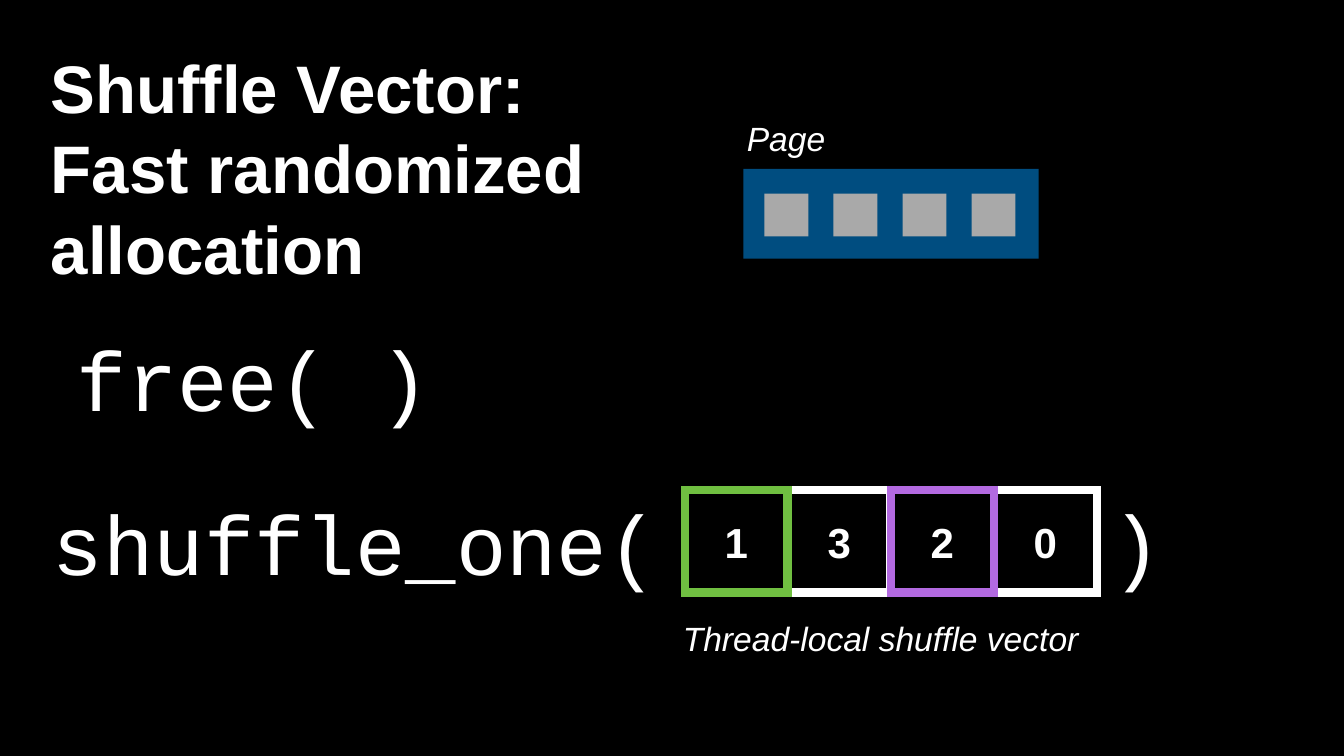
from dataclasses import dataclass
from typing import Optional

from lxml.etree import SubElement
from pptx import Presentation
from pptx.dml.color import RGBColor
from pptx.enum.shapes import MSO_SHAPE
from pptx.enum.text import MSO_ANCHOR, PP_ALIGN
from pptx.oxml.ns import qn
from pptx.slide import Slide
from pptx.util import Inches, Pt


@dataclass(frozen=True)
class Theme:
    background: str = "000000"
    text: str = "FFFFFF"
    page: str = "004D80"
    slot: str = "A9A9A9"
    cell: str = "FFFFFF"
    freed: str = "70BF41"
    swapped: str = "B36AE1"
    sans: str = "Arial"
    mono: str = "Courier New"
    code_size: int = 120
    title_size: int = 96
    digit_size: int = 60
    caption_size: int = 48
    border: int = 12


@dataclass(frozen=True)
class Box:
    left: float
    top: float
    width: float
    height: float


@dataclass(frozen=True)
class Label:
    text: str
    box: Box
    size: int
    font: str
    bold: bool = False
    italic: bool = False
    wrap: bool = False
    align: PP_ALIGN = PP_ALIGN.LEFT


THEME = Theme()

# Page slots and vector cells, spread at equal steps
SLOT_COUNT = 4
SLOT_STEP = 1.37
CELL_SIZE = 2.04
CELL_STEP = 2.045
VALUES = ("1", "3", "2", "0")
HIGHLIGHTS = {0: THEME.freed, 2: THEME.swapped}
DIGIT_WIDTH = 0.63

LABELS = (
    Label("free( )", Box(1.44, 6.48, 7.17, 2.05), THEME.code_size, THEME.mono,
          align=PP_ALIGN.CENTER),
    Label("Shuffle Vector: Fast randomized allocation", Box(0.93, 0.84, 11.04, 4.95),
          THEME.title_size, THEME.sans, bold=True, wrap=True),
    Label("Page", Box(14.74, 2.25, 1.73, 0.96), THEME.caption_size, THEME.sans,
          italic=True),
    Label("Thread-local shuffle vector", Box(13.47, 12.18, 8.08, 0.96),
          THEME.caption_size, THEME.sans, italic=True),
    Label("shuffle_one(", Box(0.97, 9.73, 12.5, 2.05), THEME.code_size, THEME.mono),
    Label(")", Box(21.97, 9.73, 1.3, 2.05), THEME.code_size, THEME.mono),
)


def lengths(box: Box) -> tuple:
    return tuple(Inches(value) for value in (box.left, box.top, box.width, box.height))


def add_rectangle(slide: Slide, box: Box, fill: Optional[str] = None,
                  line: Optional[str] = None) -> None:
    shape = slide.shapes.add_shape(MSO_SHAPE.RECTANGLE, *lengths(box))
    shape.shadow.inherit = False
    if fill:
        shape.fill.solid()
        shape.fill.fore_color.rgb = RGBColor.from_string(fill)
    else:
        shape.fill.background()
    if line:
        shape.line.color.rgb = RGBColor.from_string(line)
        shape.line.width = Pt(THEME.border)
        # Square corners on the thick border
        outline = shape.element.spPr.find(qn("a:ln"))
        SubElement(outline, qn("a:miter"), lim="400000")
    else:
        shape.line.fill.background()


def add_label(slide: Slide, label: Label) -> None:
    text_frame = slide.shapes.add_textbox(*lengths(label.box)).text_frame
    text_frame.word_wrap = label.wrap
    text_frame.vertical_anchor = MSO_ANCHOR.MIDDLE
    text_frame.margin_left = text_frame.margin_right = Inches(0.08)
    text_frame.margin_top = text_frame.margin_bottom = Inches(0.08)
    text_frame.text = label.text
    paragraph = text_frame.paragraphs[0]
    paragraph.alignment = label.align
    font = paragraph.runs[0].font
    font.name = label.font
    font.size = Pt(label.size)
    font.bold = label.bold
    font.italic = label.italic
    font.color.rgb = RGBColor.from_string(THEME.text)


def add_page(slide: Slide) -> None:
    add_rectangle(slide, Box(14.75, 3.35, 5.86, 1.78), fill=THEME.page)
    for index in range(SLOT_COUNT):
        slot = Box(15.17 + index * SLOT_STEP, 3.84, 0.87, 0.85)
        add_rectangle(slide, slot, fill=THEME.slot)


def add_shuffle_vector(slide: Slide) -> None:
    cells = [Box(13.59 + index * CELL_STEP, 9.72, CELL_SIZE, CELL_SIZE)
             for index in range(len(VALUES))]
    for cell in cells:
        add_rectangle(slide, cell, line=THEME.cell)
    for cell, value in zip(cells, VALUES):
        left = cell.left + (CELL_SIZE - DIGIT_WIDTH) / 2
        add_label(slide, Label(value, Box(left, 10.16, DIGIT_WIDTH, 1.16),
                               THEME.digit_size, THEME.sans, bold=True,
                               align=PP_ALIGN.CENTER))
    # Highlights lie above the plain cells
    for index, color in HIGHLIGHTS.items():
        add_rectangle(slide, cells[index], line=color)


def main() -> None:
    presentation = Presentation()
    presentation.slide_width = Inches(26.67)
    presentation.slide_height = Inches(15)
    slide = presentation.slides.add_slide(presentation.slide_layouts[6])
    slide.background.fill.solid()
    slide.background.fill.fore_color.rgb = RGBColor.from_string(THEME.background)

    add_page(slide)
    add_shuffle_vector(slide)
    for label in LABELS:
        add_label(slide, label)

    presentation.save("out.pptx")


if __name__ == "__main__":
    main()
